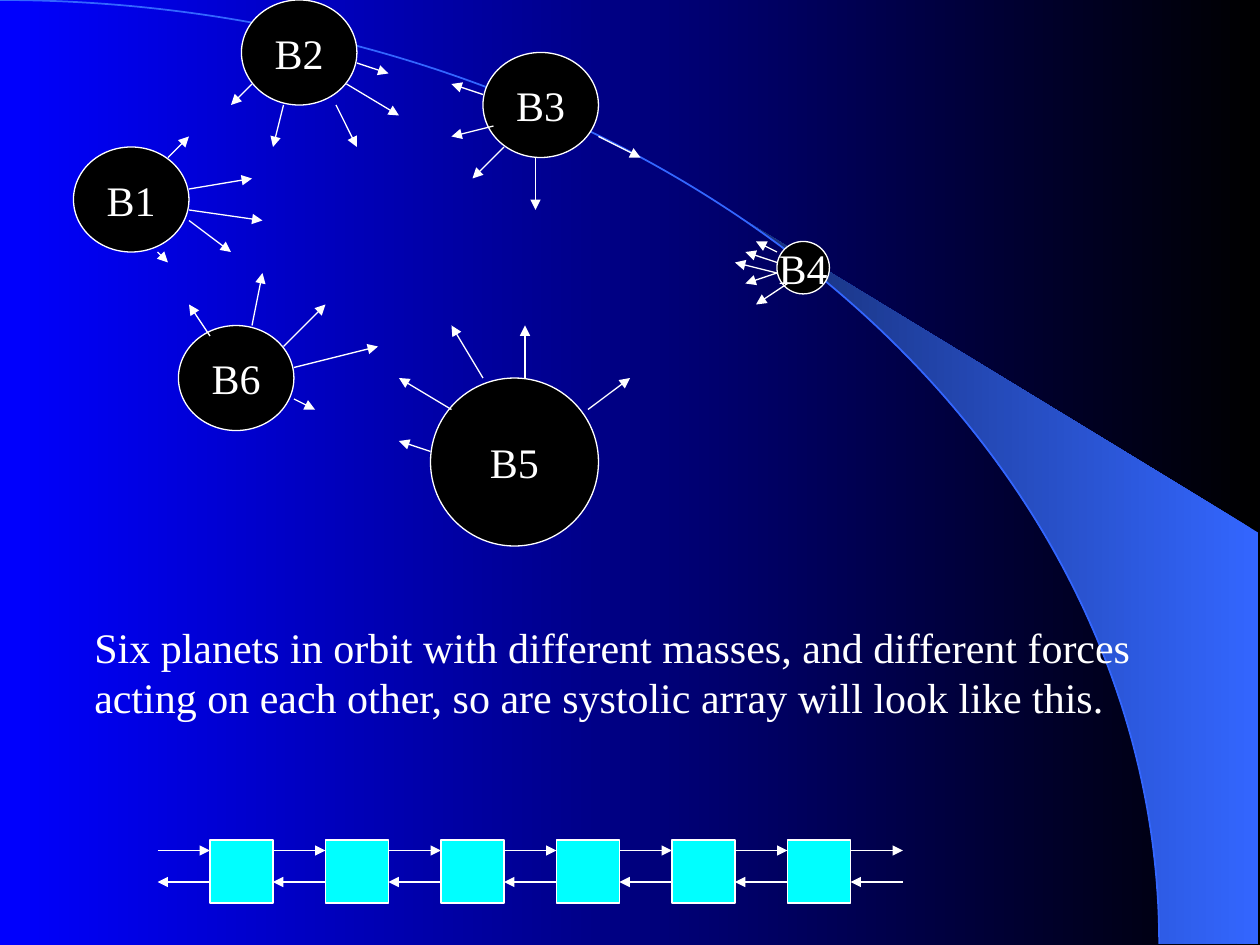
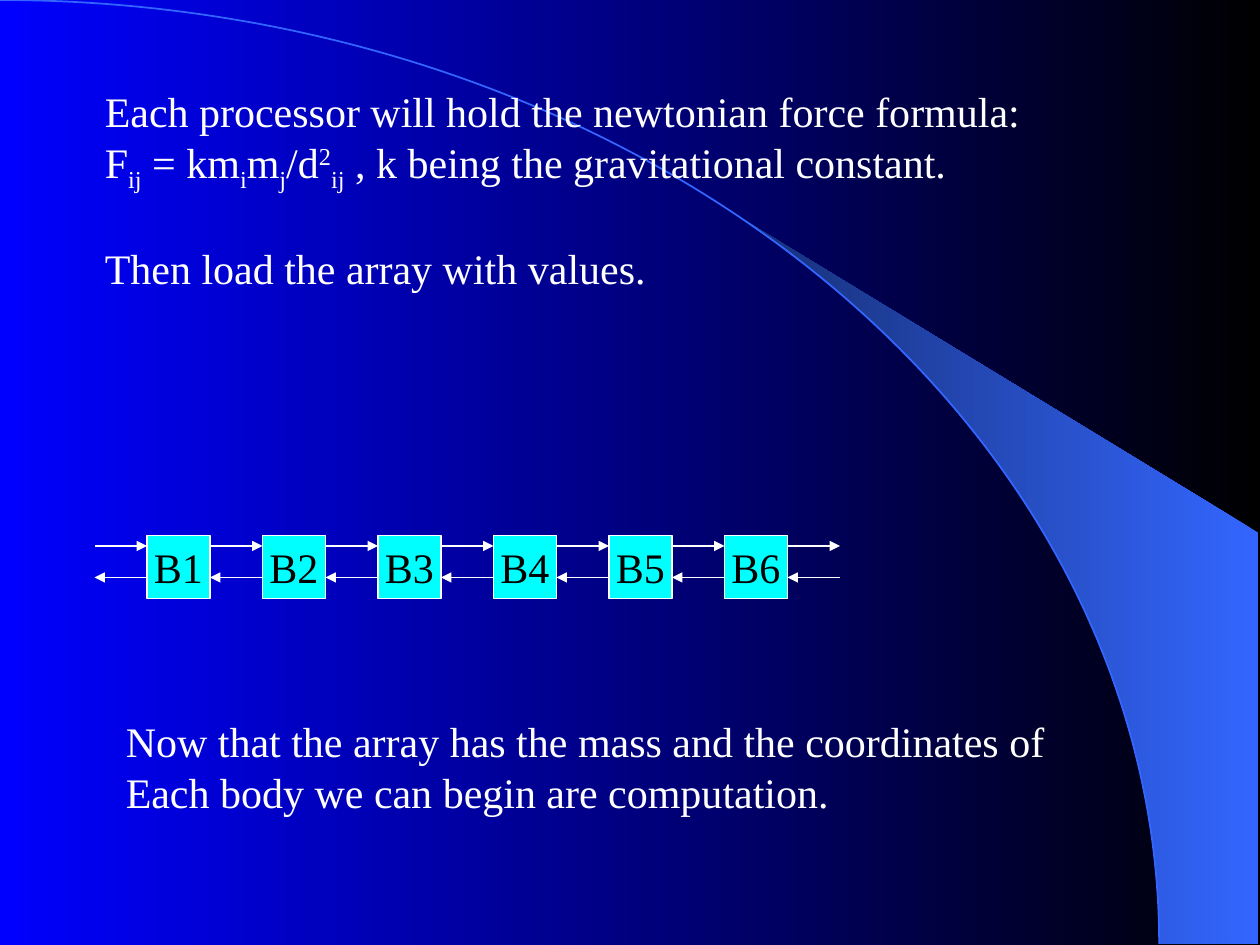
from math import asin, cos, pi, sin

from lxml.etree import SubElement
from pptx import Presentation
from pptx.dml.color import RGBColor
from pptx.enum.shapes import MSO_CONNECTOR as Connector, MSO_SHAPE as Shape
from pptx.enum.text import MSO_ANCHOR as Anchor, MSO_AUTO_SIZE as AutoSize, PP_ALIGN as Align
from pptx.oxml.ns import qn
from pptx.util import Inches, Pt

WHITE, BLACK, BLUE, CYAN = "FFFFFF", "000000", "0000FF", "00FFFF"
SKY, NAVY = "3366FF", "172F75"
FONT = "Times New Roman"
UNITS_PER_INCH = 12
ORBIT_WIDTH, ORBIT_HEIGHT = 9.2, 7.49
WEDGE_LEFT, WEDGE_RIGHT, WEDGE_SHOULDER = 5.89, 9.99, 4.23
WEDGE_STEPS = 24
CELL_SIZE, CELL_PITCH = 6, 11
SUB, SUPER = -25000, 30000

PLANETS = {
    "B1": (7, 14, 11, 10),
    "B2": (23, 0, 11, 10),
    "B3": (46, 5, 11, 10),
    "B4": (74, 23, 5, 5),
    "B5": (41, 36, 16, 16),
    "B6": (17, 31, 11, 10),
}
FORCES = {
    "B1": [(15, 24, 16, 25), (18, 21, 22, 24), (16, 15, 18, 13), (18, 18, 24, 17), (18, 20, 25, 21)],
    "B2": [(24, 8, 22, 10), (27, 10, 26, 14), (32, 10, 34, 14), (34, 6, 37, 7), (33, 8, 38, 11)],
    "B3": [(46, 9, 43, 8), (47, 12, 43, 13), (48, 14, 45, 17), (51, 15, 51, 20), (57, 13, 61, 15)],
    "B4": [(75, 27, 72, 29), (74, 24, 72, 23), (74, 25, 71, 24), (74, 26, 71, 27), (74, 26, 70, 25)],
    "B5": [(50, 36, 50, 31), (41, 43, 38, 42), (43, 39, 38, 36), (46, 36, 43, 31), (56, 39, 60, 36)],
    "B6": [(27, 33, 31, 29), (28, 38, 30, 39), (20, 32, 18, 29), (24, 31, 25, 26), (28, 35, 36, 33)],
}
FORMULA = [
    ("F", 0), ("ij", SUB), (" = km", 0), ("i", SUB), ("m", 0), ("j", SUB),
    ("/d", 0), ("2", SUPER), ("ij", SUB), (" , k being the gravitational constant.", 0),
]


def rgb(value):
    """Turn a hex string into a colour."""
    return RGBColor.from_string(value)


def grid(*units):
    """Turn grid units of a twelfth of an inch into lengths."""
    return [Inches(unit / UNITS_PER_INCH) for unit in units]


def apply(target, values):
    """Set each attribute of the target from a dict."""
    for name, value in values.items():
        setattr(target, name, value)


def fill_gradient(fill, right, left):
    """Fill horizontally from the right colour to the left one."""
    fill.gradient()
    fill.gradient_angle = 180
    for stop, position, color in zip(fill.gradient_stops, (0, 1), (right, left)):
        stop.position = position
        stop.color.rgb = rgb(color)


def set_line(shape, color, width):
    """Give a shape or connector a solid line."""
    shape.line.color.rgb = rgb(color)
    shape.line.width = Pt(width)


def add_wedge(slide):
    """Draw the gradient wedge between the orbit and the right edge."""
    start = asin(WEDGE_LEFT / ORBIT_WIDTH)
    angles = [start + (pi / 2 - start) * step / WEDGE_STEPS for step in range(WEDGE_STEPS + 1)]
    points = [(ORBIT_WIDTH * sin(angle), ORBIT_HEIGHT * (1 - cos(angle))) for angle in angles]
    points += [(WEDGE_RIGHT, ORBIT_HEIGHT), (WEDGE_RIGHT, WEDGE_SHOULDER)]
    corners = [(Inches(x), Inches(y)) for x, y in points]
    builder = slide.shapes.build_freeform(*corners[0])
    builder.add_line_segments(corners[1:])
    wedge = builder.convert_to_shape()
    wedge.shadow.inherit = False
    fill_gradient(wedge.fill, SKY, NAVY)
    wedge.line.fill.background()
    return wedge


def add_orbit(slide):
    """Draw the quarter arc of the orbit."""
    place = (-ORBIT_WIDTH, 0, 2 * ORBIT_WIDTH, 2 * ORBIT_HEIGHT)
    orbit = slide.shapes.add_shape(Shape.ARC, *map(Inches, place))
    orbit.shadow.inherit = False
    orbit.fill.background()
    set_line(orbit, SKY, 1)
    return orbit


def decorate_master(deck, slide):
    """Put the gradient background, wedge and orbit on the slide master."""
    master = deck.slide_master
    fill_gradient(master.background.fill, BLACK, BLUE)
    for index, shape in enumerate((add_wedge(slide), add_orbit(slide)), start=2):
        master.shapes.element.insert(index, shape.element)


def add_span(para, text, color, baseline=0):
    """Add a run of text, raised or lowered by its baseline."""
    span = para.add_run()
    span.text = text
    apply(span.font, {"name": FONT, "size": Pt(24)})
    span.font.color.rgb = rgb(color)
    if baseline:
        span._r.get_or_add_rPr().set("baseline", str(baseline))


def add_node(slide, kind, place, fill, label="", color=WHITE):
    """Draw a planet or an array cell with a centred label."""
    node = slide.shapes.add_shape(kind, *grid(*place))
    node.shadow.inherit = False
    node.fill.solid()
    node.fill.fore_color.rgb = rgb(fill)
    set_line(node, WHITE, 0.75)
    if label:
        frame = node.text_frame
        apply(frame, {"word_wrap": False, "vertical_anchor": Anchor.MIDDLE})
        frame.paragraphs[0].alignment = Align.CENTER
        add_span(frame.paragraphs[0], label, color)


def add_arrow(slide, *ends):
    """Draw a white arrow between two grid points."""
    arrow = slide.shapes.add_connector(Connector.STRAIGHT, *grid(*ends))
    set_line(arrow, WHITE, 0.75)
    SubElement(arrow.line._get_or_add_ln(), qn("a:tailEnd"), type="triangle")
    SubElement(arrow.element.spPr, qn("a:effectLst"))


def add_text(slide, place, lines, gaps=None):
    """Add a text box of lines, with gaps in points before the given lines."""
    box = slide.shapes.add_textbox(*grid(*place))
    frame = box.text_frame
    apply(frame, {"word_wrap": True, "auto_size": AutoSize.SHAPE_TO_FIT_TEXT})
    for index, line in enumerate(lines):
        para = frame.add_paragraph() if index else frame.paragraphs[0]
        if gaps and index in gaps:
            para.space_before = Pt(gaps[index])
        for text, baseline in [(line, 0)] if isinstance(line, str) else line:
            add_span(para, text, WHITE, baseline)


def add_systolic_array(slide, left, top, labels):
    """Draw a row of cells linked by arrows in both directions."""
    for index, label in enumerate(labels):
        place = (left + index * CELL_PITCH, top, CELL_SIZE, CELL_SIZE)
        add_node(slide, Shape.RECTANGLE, place, CYAN, label, BLACK)
    gap = CELL_PITCH - CELL_SIZE
    for index in range(len(labels) + 1):
        end = left + index * CELL_PITCH
        add_arrow(slide, end - gap, top + 1, end, top + 1)
        add_arrow(slide, end, top + 4, end - gap, top + 4)


def fill_planets_slide(slide):
    """Show the planets, their forces and the empty array."""
    for name, place in PLANETS.items():
        add_node(slide, Shape.OVAL, place, BLACK, name)
    for forces in FORCES.values():
        for ends in forces:
            add_arrow(slide, *ends)
    add_text(slide, (7.8, 58.6, 103, 10.8), [
        "Six planets in orbit with different masses, and different forces",
        "acting on each other, so are systolic array will look like this.",
    ])
    add_systolic_array(slide, 20, 80, [""] * len(PLANETS))


def fill_formula_slide(slide):
    """Show the force formula and the loaded array."""
    add_text(slide, (8.8, 7.6, 90.5, 21.1), [
        "Each processor will hold the newtonian force formula:",
        FORMULA,
        "Then load the array with values.",
    ], {2: 28})
    add_systolic_array(slide, 14, 51, list(PLANETS))
    add_text(slide, (10.8, 67.6, 90.5, 10.8), [
        "Now that the array has the mass and the coordinates of",
        "Each body we can begin are computation.",
    ])


def main():
    """Build and save the deck."""
    deck = Presentation()
    apply(deck, {"slide_width": Inches(10), "slide_height": Inches(7.5)})
    blank = deck.slide_layouts[6]
    planets_slide, formula_slide = [deck.slides.add_slide(blank) for _ in range(2)]
    decorate_master(deck, planets_slide)
    fill_planets_slide(planets_slide)
    fill_formula_slide(formula_slide)
    deck.save("out.pptx")


if __name__ == "__main__":
    main()
